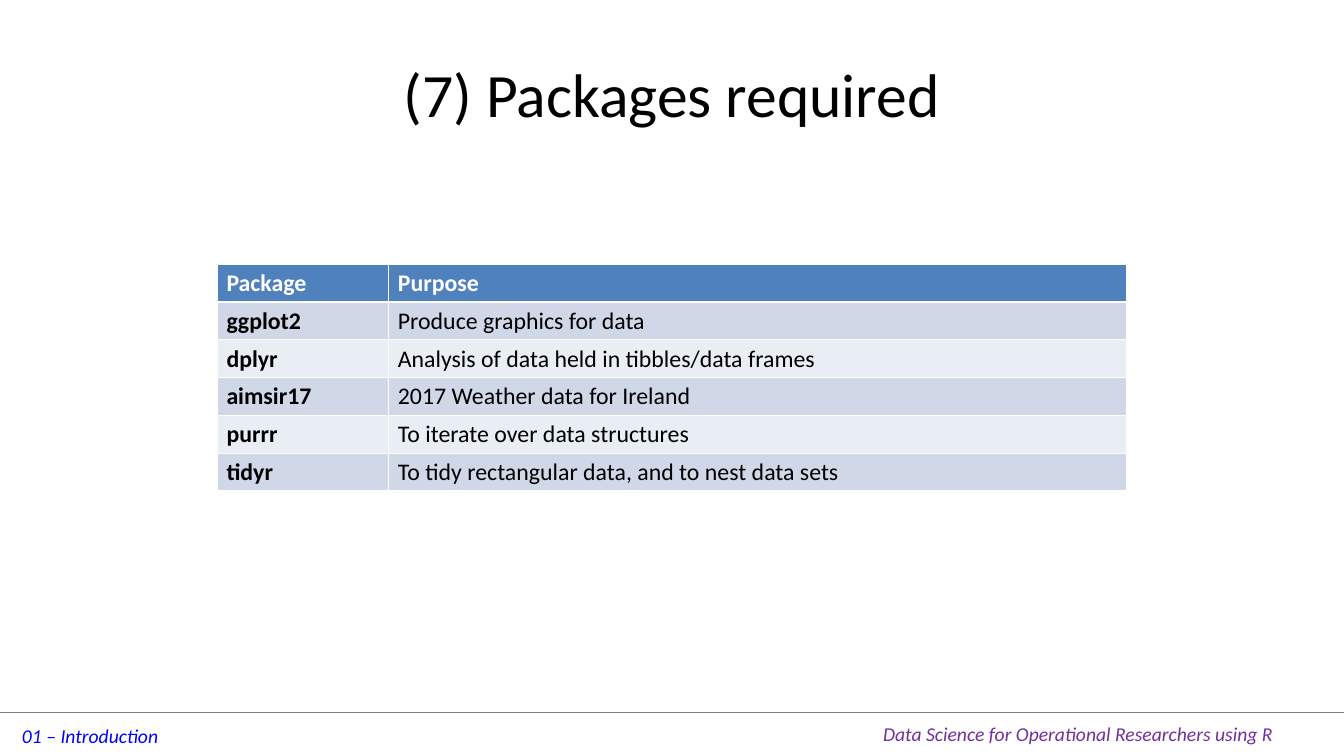
from lxml.etree import SubElement
from pptx import Presentation
from pptx.dml.color import RGBColor as RGB
from pptx.enum.shapes import MSO_CONNECTOR as Link
from pptx.enum.text import MSO_ANCHOR as Anchor, PP_ALIGN as Align
from pptx.oxml.ns import qn
from pptx.util import Inches, Pt

TITLE = "(7) Packages required"
ROWS = [
    ("Package", "Purpose"),
    ("ggplot2", "Produce graphics for data"),
    ("dplyr", "Analysis of data held in tibbles/data frames"),
    ("aimsir17", "2017 Weather data for Ireland"),
    ("purrr", "To iterate over data structures"),
    ("tidyr", "To tidy rectangular data, and to nest data sets"),
]
PART = "01 – Introduction"
COURSE = "Data Science for Operational Researchers using R"

BLACK = RGB(0x00, 0x00, 0x00)
WHITE = RGB(0xFF, 0xFF, 0xFF)
GRAY = RGB(0x80, 0x80, 0x80)
BLUE = RGB(0x00, 0x00, 0xFF)
PURPLE = RGB(0x70, 0x30, 0xA0)
HEAD = RGB(0x4F, 0x81, 0xBD)
BANDS = [RGB(0xE9, 0xED, 0xF4), RGB(0xD0, 0xD8, 0xE8)]

WIDE, HIGH = 13.33, 7.5
COLS = (1.7, 7.32)
ROW = 2.25 / len(ROWS)
TOP = 2.62
RULE = 7.07


def write(frame, text, size, color, bold=False, italic=False, align=Align.LEFT):
    para = frame.paragraphs[0]
    para.alignment = align
    run = para.add_run()
    run.text = text
    font = run.font
    font.name, font.size = "Calibri", Pt(size)
    font.bold, font.italic = bold, italic
    font.color.rgb = color


def label(slide, area, text, size, color, wrap=False, **style):
    box = slide.shapes.add_textbox(*map(Inches, area))
    frame = box.text_frame
    frame.word_wrap = wrap
    frame.vertical_anchor = Anchor.MIDDLE if wrap else Anchor.TOP
    write(frame, text, size, color, **style)


def rule(slide):
    line = slide.shapes.add_connector(
        Link.STRAIGHT, 0, Inches(RULE), Inches(WIDE), Inches(RULE))
    line.line.color.rgb = GRAY
    line.line.width = Pt(0.25)
    SubElement(line._element.spPr, qn("a:effectLst"))


def grid(slide):
    span = sum(COLS)
    area = ((WIDE - span) / 2, TOP, span, ROW * len(ROWS))
    table = slide.shapes.add_table(
        len(ROWS), len(COLS), *map(Inches, area)).table
    for col, width in zip(table.columns, COLS):
        col.width = Inches(width)
    for r, row in enumerate(ROWS):
        for c, text in enumerate(row):
            cell = table.cell(r, c)
            cell.margin_left = cell.margin_right = Pt(6.6)
            cell.margin_top = cell.margin_bottom = Pt(3.3)
            cell.fill.solid()
            cell.fill.fore_color.rgb = BANDS[r % 2] if r else HEAD
            write(cell.text_frame, text, 17, BLACK if r else WHITE,
                  bold=r == 0 or c == 0)


def main():
    deck = Presentation()
    deck.slide_width, deck.slide_height = Inches(WIDE), Inches(HIGH)
    slide = deck.slides.add_slide(deck.slide_layouts[6])
    rule(slide)
    label(slide, (0.12, 7.13, 1.57, 0.34), PART, 14, BLUE, italic=True)
    label(slide, (8.66, 7.11, 4.11, 0.34), COURSE, 14, PURPLE, italic=True)
    label(slide, (WIDE * 0.05, HIGH * 0.04, WIDE * 0.9, HIGH / 6),
          TITLE, 44, BLACK, wrap=True, align=Align.CENTER)
    grid(slide)
    deck.save("out.pptx")


if __name__ == "__main__":
    main()
